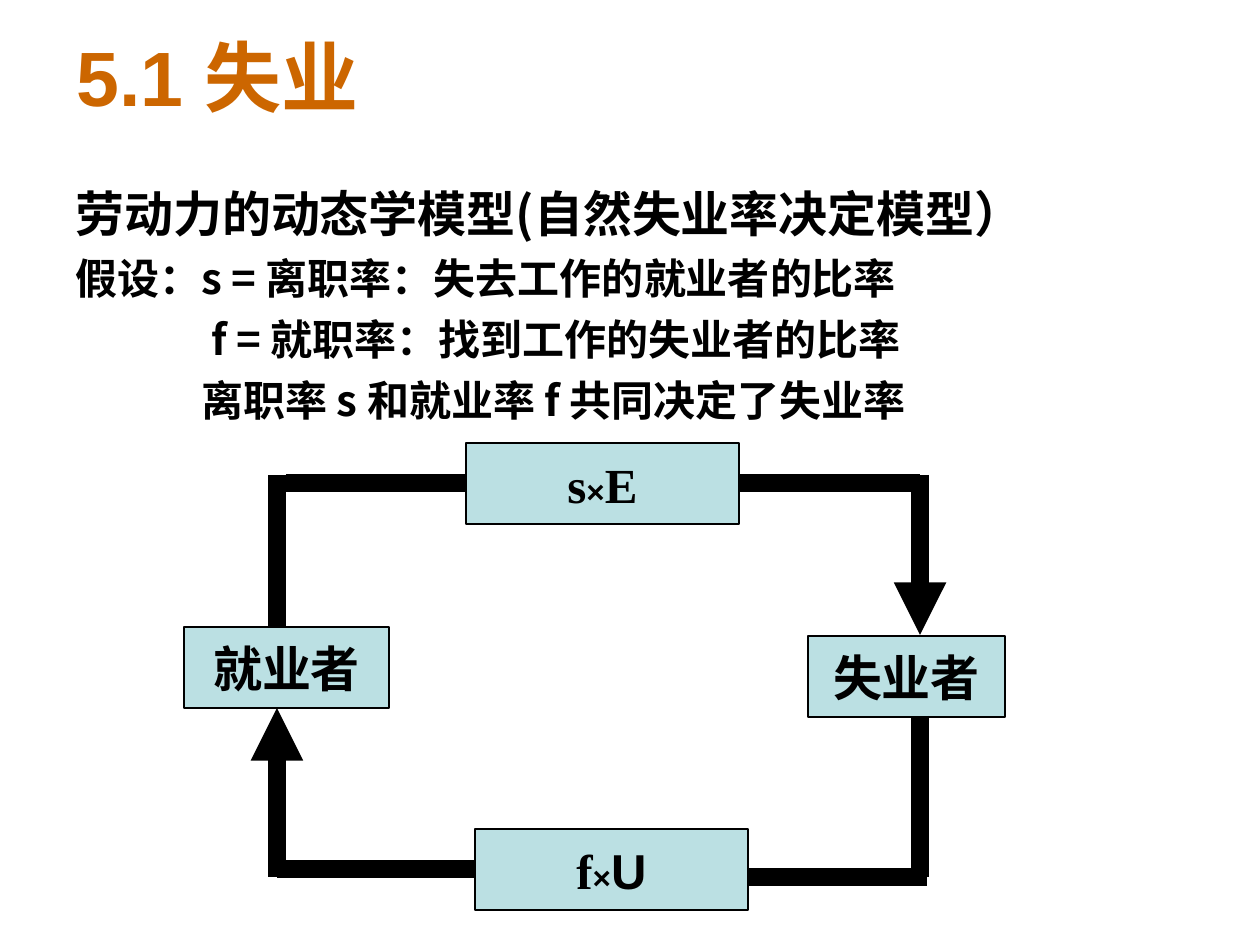
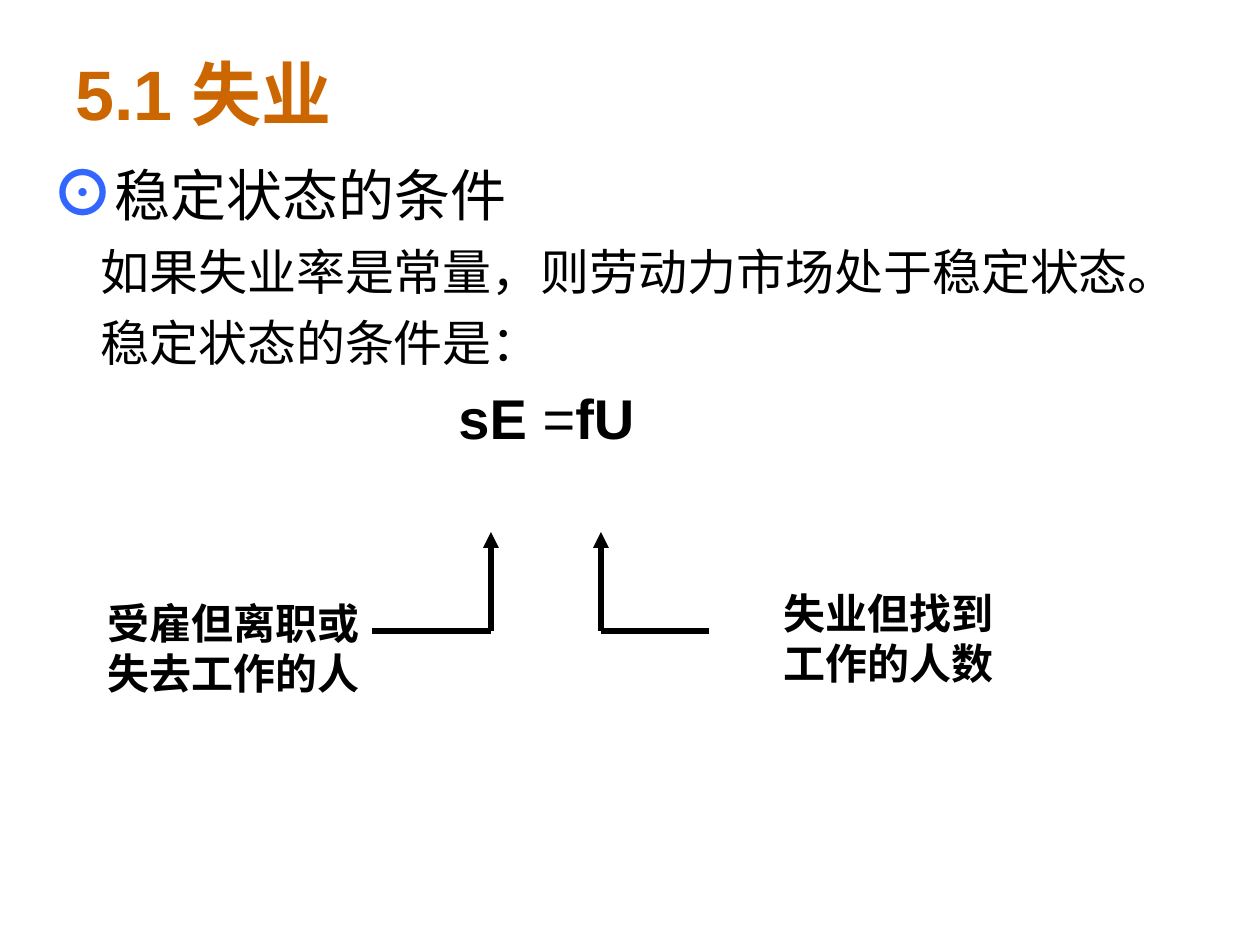
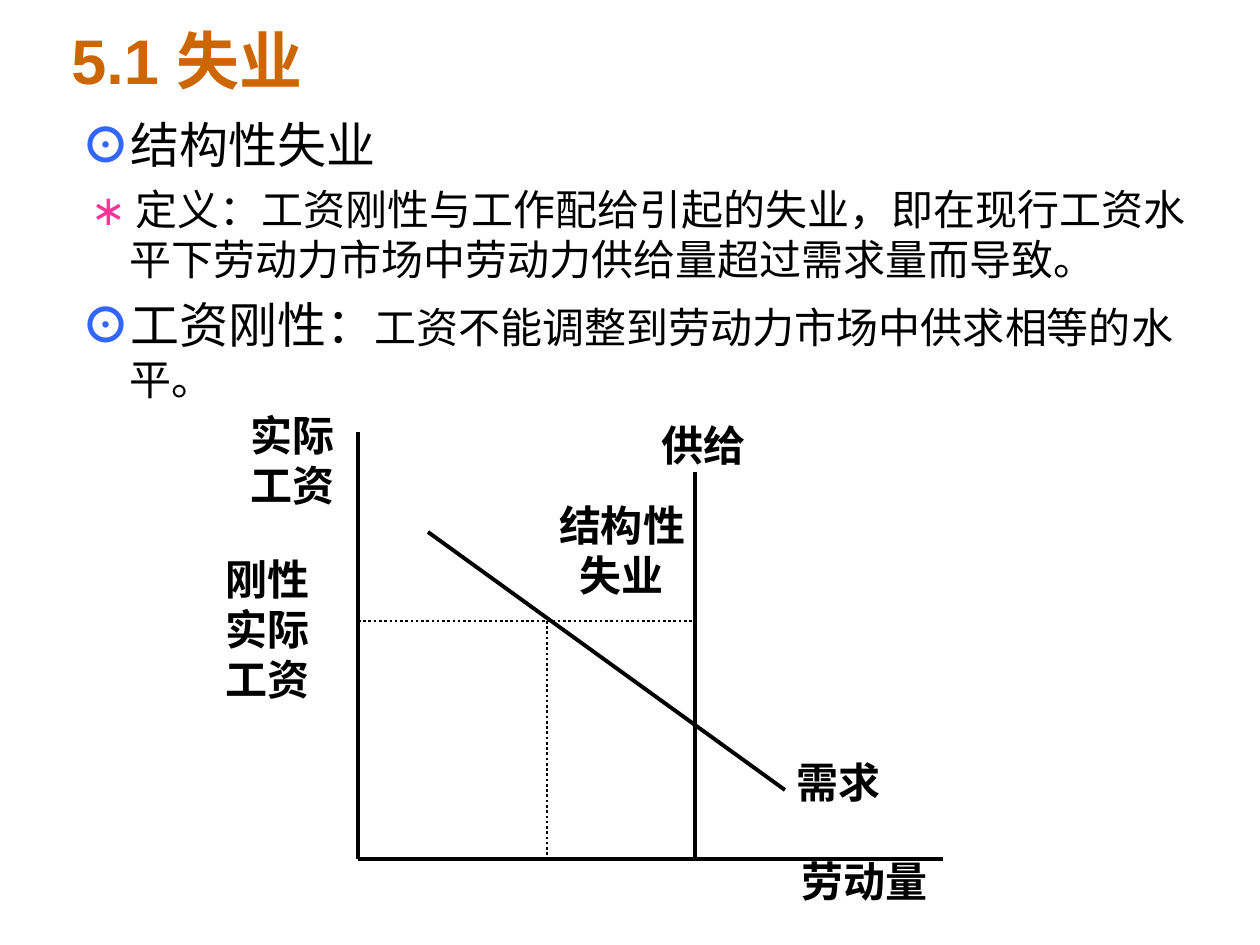
from dataclasses import dataclass
from typing import Optional

from lxml import etree
from pptx import Presentation
from pptx.dml.color import RGBColor
from pptx.enum.dml import MSO_LINE
from pptx.enum.shapes import MSO_CONNECTOR, MSO_SHAPE
from pptx.enum.text import MSO_ANCHOR, PP_ALIGN
from pptx.oxml.ns import qn
from pptx.util import Emu, Pt

PX_PER_INCH = 126
EMU_PER_INCH = 914400

ARIAL = "Arial"
TIMES = "Times New Roman"
CJK = "Noto Sans CJK SC"

BLACK = "000000"
ORANGE = "CC6600"
BLUE = "3366FF"
PINK = "FF3399"
PALE_TEAL = "BBE0E3"

LEFT, CENTER, RIGHT = PP_ALIGN.LEFT, PP_ALIGN.CENTER, PP_ALIGN.RIGHT
TOP, MIDDLE = MSO_ANCHOR.TOP, MSO_ANCHOR.MIDDLE
RECTANGLE = MSO_SHAPE.RECTANGLE
STRAIGHT = MSO_CONNECTOR.STRAIGHT
DOTTED = MSO_LINE.ROUND_DOT

HANGING = 48
TITLE = "5.1 失业"


@dataclass
class Span:
    """A run; fields left at None follow the paragraph."""
    text: str
    size: Optional[float] = None
    font: Optional[str] = None
    color: Optional[str] = None
    bold: Optional[bool] = None


@dataclass
class Para:
    spans: list
    size: float
    font: str = ARIAL
    color: str = BLACK
    bold: bool = False
    align: PP_ALIGN = LEFT
    before: float = 0
    margin: int = 0
    indent: int = 0


def px(length):
    return Emu(round(length * EMU_PER_INCH / PX_PER_INCH))


def rgb(value):
    return RGBColor.from_string(value)


def style_font(font, style):
    if style.size is not None:
        font.size = Pt(style.size)
    if style.font is not None:
        font.name = style.font
    if style.color is not None:
        font.color.rgb = rgb(style.color)
    if style.bold is not None:
        font.bold = style.bold


def fill_text(frame, paras, anchor, wrap):
    frame.word_wrap = wrap
    frame.vertical_anchor = anchor
    for index, para in enumerate(paras):
        paragraph = frame.add_paragraph() if index else frame.paragraphs[0]
        paragraph.alignment = para.align
        paragraph.space_before = Pt(para.before)
        style_font(paragraph.font, para)
        properties = paragraph._p.get_or_add_pPr()
        properties.set("marL", str(px(para.margin)))
        properties.set("indent", str(px(para.indent)))
        latin = properties.find(qn("a:defRPr")).find(qn("a:latin"))
        east_asian = etree.Element(qn("a:ea"), typeface=CJK)
        latin.addnext(east_asian)
        for span in para.spans:
            run = paragraph.add_run()
            run.text = span.text
            style_font(run.font, span)


def add_text(page, left, top, width, height, paras, anchor=TOP, wrap=True):
    box = page.shapes.add_textbox(px(left), px(top), px(width), px(height))
    fill_text(box.text_frame, paras, anchor, wrap)


def add_title(page, left, top, height, size):
    title = Para([Span(TITLE)], size, color=ORANGE, bold=True)
    add_text(page, left, top, 1134, height, [title], MIDDLE)


def add_label(page, left, top, width, height, lines, align=CENTER, wrap=False):
    paras = [Para([Span(line)], 24, bold=True, align=align) for line in lines]
    add_text(page, left, top, width, height, paras, wrap=wrap)


def add_node(page, left, top, width, spans):
    node = page.shapes.add_shape(RECTANGLE, px(left), px(top), px(width), px(81))
    node.shadow.inherit = False
    node.fill.solid()
    node.fill.fore_color.rgb = rgb(PALE_TEAL)
    node.line.color.rgb = rgb(BLACK)
    node.line.width = Pt(1)
    label = Para(spans, 28, TIMES, bold=True, align=CENTER)
    fill_text(node.text_frame, [label], MIDDLE, False)


def add_line(page, start, end, width, arrow=False, dash=None):
    connector = page.shapes.add_connector(
        STRAIGHT, *(px(length) for length in (*start, *end)))
    connector.line.color.rgb = rgb(BLACK)
    connector.line.width = Pt(width)
    if dash is not None:
        connector.line.dash_style = dash
    if arrow:
        outline = connector.line._get_or_add_ln()
        etree.SubElement(outline, qn("a:tailEnd"), type="triangle")
    etree.SubElement(connector._element.spPr, qn("a:effectLst"))


def hanging(spans, size, before):
    return Para(spans, size, before=before, margin=HANGING, indent=-HANGING)


def build_flow_model(page):
    assumptions = [
        ("假设：s = 离职率：失去工作的就业者的比率", 0),
        ("f = 就职率：找到工作的失业者的比率", 136),
        ("离职率 s 和就业率 f 共同决定了失业率", 126),
    ]
    heading = Para([Span("劳动力的动态学模型(自然失业率决定模型）")],
                   28, CJK, bold=True)
    paras = [heading] + [
        Para([Span(text)], 24, CJK, bold=True, before=6, margin=margin)
        for text, margin in assumptions]
    add_text(page, 63, 177, 1134, 713, paras)

    times = Span("×", 18, ARIAL)
    add_node(page, 184, 627, 205, [Span("就业者")])
    add_node(page, 808, 636, 197, [Span("失业者")])
    add_node(page, 466, 443, 273, [Span("s"), times, Span("E")])
    add_node(page, 475, 829, 273, [Span("f"), times, Span("U", font=ARIAL)])

    employed, unemployed = 277, 920
    segments = [
        ((474, 869), (employed, 869), False),
        ((927, 877), (748, 877), False),
        ((466, 483), (286, 483), False),
        ((unemployed, 483), (739, 483), False),
        ((employed, 475), (employed, 627), False),
        ((unemployed, 716), (unemployed, 877), False),
        ((unemployed, 475), (unemployed, 635), True),
        ((employed, 877), (employed, 708), True),
    ]
    for start, end, arrow in segments:
        add_line(page, start, end, 10, arrow)
    add_title(page, 64, 26, 100, 44)


def build_steady_state(page):
    add_title(page, 63, 38, 110, 40)
    ring = Span("⊙", 36, CJK, BLUE, True)
    statements = ["如果失业率是常量，则劳动力市场处于稳定状态。",
                  "稳定状态的条件是："]
    paras = [hanging([ring, Span("稳定状态的条件")], 32, 8)]
    paras += [Para([Span(text)], 28, before=7, margin=49)
              for text in statements]
    paras.append(Para([Span("sE "), Span("=", bold=False), Span("fU")],
                      32, bold=True, before=7, margin=407))
    add_text(page, 39, 147, 1201, 624, paras)

    for outer, inner in ((372, 491), (709, 601)):
        add_line(page, (outer, 631), (inner, 631), 3)
        add_line(page, (inner, 631), (inner, 532), 3, arrow=True)
    add_label(page, 758, 581, 248, 115, ["失业但找到", "工作的人数"],
              RIGHT, True)
    add_label(page, 74, 591, 298, 113, ["受雇但离职或失去工作的人"],
              RIGHT, True)


def build_structural(page):
    add_title(page, 59, 20, 78, 36)
    ring = Span("⊙", 28, CJK, BLUE, True)
    definition = [
        Span(" ", bold=True),
        Span("∗ ", font=CJK, color=PINK),
        Span("定义：", font=CJK),
        Span("工资刚性与工作配给引起的失业，即在现行工资水平下"
             "劳动力市场中劳动力供给量超过需求量而导致。"),
    ]
    rigidity = [
        ring,
        Span("工资刚性：", 28, CJK),
        Span("工资不能调整到劳动力市场中供求相等的水平。", font=CJK),
    ]
    add_text(page, 69, 108, 1150, 276, [
        hanging([ring, Span("结构性失业")], 28, 7),
        hanging(definition, 24, 6),
        hanging(rigidity, 24, 6),
    ])

    axis, base, supply = 358, 859, 695
    wage, employment = 621, 547
    for start, end in (((axis, base), (axis, 432)),
                       ((axis, base), (943, base)),
                       ((428, 532), (785, 790)),
                       ((supply, 472), (supply, base))):
        add_line(page, start, end, 2.25)
    for start, end in (((axis, wage), (supply, wage)),
                       ((employment, wage), (employment, base))):
        add_line(page, start, end, 1.5, dash=DOTTED)

    for left, top, width, height, lines in (
            (544, 493, 156, 113, ["结构性", "失业"]),
            (211, 547, 114, 164, ["刚性", "实际", "工资"]),
            (236, 403, 114, 113, ["实际", "工资"]),
            (786, 849, 156, 63, ["劳动量"]),
            (782, 750, 114, 63, ["需求"]),
            (647, 413, 114, 63, ["供给"])):
        add_label(page, left, top, width, height, lines)


def main():
    deck = Presentation()
    deck.slide_width, deck.slide_height = px(1260), px(945)
    blank = deck.slide_layouts[6]
    for build in (build_flow_model, build_steady_state, build_structural):
        build(deck.slides.add_slide(blank))
    deck.save("out.pptx")


if __name__ == "__main__":
    main()
